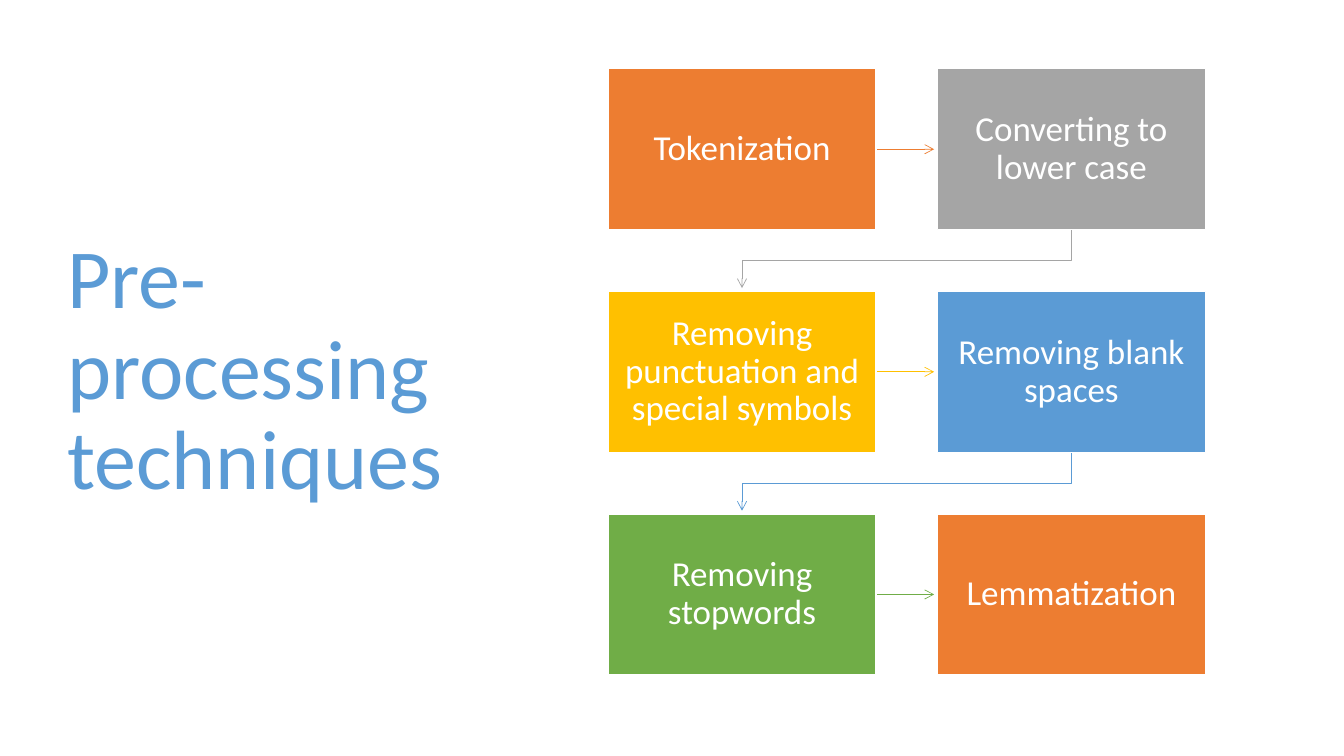
import pptx
import pptx.util
import pptx.dml.color
import pptx.enum.shapes
import pptx.enum.text
import pptx.oxml
import pptx.oxml.ns

Cm = pptx.util.Cm
Pt = pptx.util.Pt

HUES = {
    "orange": "ED7D31",
    "gray": "A5A5A5",
    "gold": "FFC000",
    "blue": "5B9BD5",
    "green": "70AD47",
    "white": "FFFFFF",
}
STEPS = [
    ("Tokenization", "orange"),
    ("Converting to lower case", "gray"),
    ("Removing punctuation and special symbols", "gold"),
    ("Removing blank spaces", "blue"),
    ("Removing stopwords", "green"),
    ("Lemmatization", "orange"),
]
COLS = 2


def tint(name):
    return pptx.dml.color.RGBColor.from_string(HUES[name])


def write(frame, text, size, hue, align):
    frame.word_wrap = True
    frame.vertical_anchor = pptx.enum.text.MSO_ANCHOR.MIDDLE
    para = frame.paragraphs[0]
    para.alignment = align
    para.line_spacing = 0.9
    run = para.add_run()
    run.text = text
    run.font.name = "Calibri"
    run.font.size = Pt(size)
    run.font.color.rgb = tint(hue)


def title(slide, left, top, width, height):
    box = slide.shapes.add_textbox(Cm(left), Cm(top), Cm(width), Cm(height))
    write(box.text_frame, "Pre-processing techniques", 60, "blue",
          pptx.enum.text.PP_ALIGN.LEFT)


def card(slide, left, top, width, height, text, hue):
    box = slide.shapes.add_shape(pptx.enum.shapes.MSO_SHAPE.RECTANGLE,
                                 Cm(left), Cm(top), Cm(width), Cm(height))
    box.shadow.inherit = False
    box.fill.solid()
    box.fill.fore_color.rgb = tint(hue)
    box.line.color.rgb = tint("white")
    box.line.width = Pt(1)
    frame = box.text_frame
    frame.margin_left = frame.margin_right = Cm(0.33)
    frame.margin_top = frame.margin_bottom = Cm(0.35)
    write(frame, text, 25, hue="white", align=pptx.enum.text.PP_ALIGN.CENTER)


def arrow(slide, points, hue):
    spots = [(Cm(x), Cm(y)) for x, y in points]
    if len(spots) == 2:
        link = slide.shapes.add_connector(
            pptx.enum.shapes.MSO_CONNECTOR.STRAIGHT, *spots[0], *spots[1])
    else:
        draft = slide.shapes.build_freeform(*spots[0])
        draft.add_line_segments(spots[1:], close=False)
        link = draft.convert_to_shape()
        link.fill.background()
    link.line.color.rgb = tint(hue)
    link.line.width = Pt(0.5)
    props = link.element.spPr
    tail = pptx.oxml.parse_xml(
        '<a:tailEnd %s type="arrow"/>' % pptx.oxml.ns.nsdecls("a"))
    props.find(pptx.oxml.ns.qn("a:ln")).append(tail)
    props.append(pptx.oxml.parse_xml(
        "<a:effectLst %s/>" % pptx.oxml.ns.nsdecls("a")))


def flow(slide, left, top, width, height):
    wide, tall = 6.76, 4.06
    rows = len(STEPS) // COLS
    over = (width - wide) / (COLS - 1)
    down = (height - tall) / (rows - 1)
    gap = 0.08
    for i, (text, hue) in enumerate(STEPS):
        row, col = divmod(i, COLS)
        x, y = left + col * over, top + row * down
        if i < len(STEPS) - 1:
            if col < COLS - 1:
                mid = y + tall / 2
                points = [(x + wide, mid), (x + over - gap, mid)]
            else:
                start, end = x + wide / 2, left + wide / 2
                bend = (y + tall + y + down) / 2
                points = [(start, y + tall), (start, bend),
                          (end, bend), (end, y + down - gap)]
            arrow(slide, points, hue)
        card(slide, x, y, wide, tall, text, hue)


def main():
    deck = pptx.Presentation()
    deck.slide_width = Cm(33.87)
    deck.slide_height = Cm(19.05)
    slide = deck.slides.add_slide(deck.slide_layouts[6])
    title(slide, 1.45, 1.73, 10.57, 15.29)
    flow(slide, 15.32, 1.73, 15.06, 15.28)
    deck.save("out.pptx")


if __name__ == "__main__":
    main()
